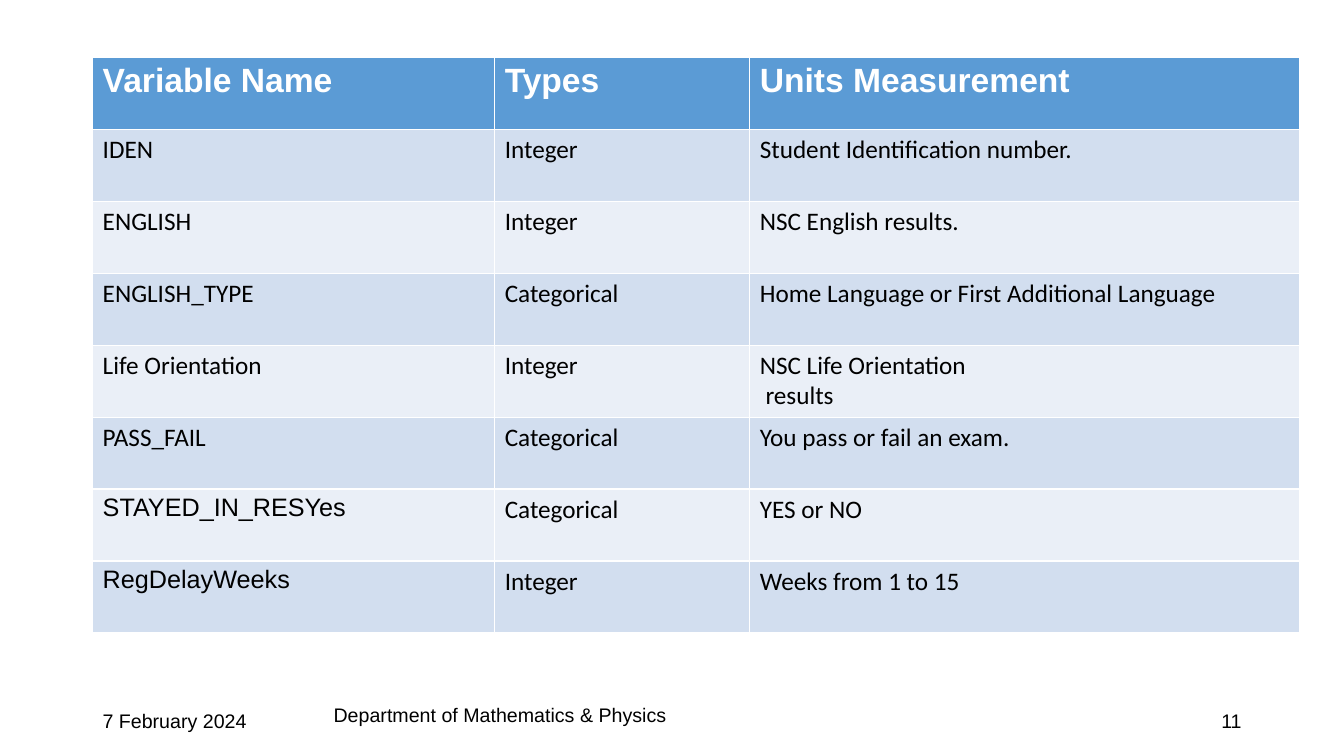
"""Build the slide that lists the variables of the student data set."""
from dataclasses import dataclass

from pptx import Presentation
from pptx.dml.color import RGBColor as Color
from pptx.enum.text import MSO_ANCHOR as Anchor, PP_ALIGN as Align
from pptx.util import Pt


@dataclass(frozen=True)
class Theme:
    white: str = "FFFFFF"
    black: str = "000000"
    header: str = "5B9BD5"
    bands: tuple = ("D2DEEF", "EAEFF7")
    heading_font: str = "Arial"
    body_font: str = "Calibri"
    heading_size: int = 24
    body_size: int = 18
    footer_size: int = 14


class SlideBuilder:
    def __init__(self, deck, theme):
        self.theme = theme
        self.slide = deck.slides.add_slide(deck.slide_layouts[6])

    def style(self, frame, font, size, color, bold=False, align=Align.LEFT):
        for para in frame.paragraphs:
            para.alignment = align
            for span in para.runs:
                span.font.name = font
                span.font.size = Pt(size)
                span.font.bold = bold
                span.font.color.rgb = Color.from_string(color)

    def footer(self, text, left, top, width, height, anchor=Anchor.MIDDLE, align=Align.LEFT):
        box = self.slide.shapes.add_textbox(Pt(left), Pt(top), Pt(width), Pt(height))
        frame = box.text_frame
        frame.word_wrap = True
        frame.vertical_anchor = anchor
        frame.text = text
        theme = self.theme
        self.style(frame, theme.heading_font, theme.footer_size, theme.black, align=align)

    def cell(self, cell, text, fill, font, size, color, bold=False):
        cell.text_frame.text = text
        cell.fill.solid()
        cell.fill.fore_color.rgb = Color.from_string(fill)
        self.style(cell.text_frame, font, size, color, bold)

    def table(self, headings, rows, left, top, widths, row_height, arial_names):
        theme = self.theme
        count = len(rows) + 1
        table = self.slide.shapes.add_table(
            count, len(widths), Pt(left), Pt(top), Pt(sum(widths)), Pt(row_height * count)
        ).table
        for column, width in zip(table.columns, widths):
            column.width = Pt(width)
        for row in table.rows:
            row.height = Pt(row_height)
        for column, text in enumerate(headings):
            self.cell(table.cell(0, column), text, theme.header, theme.heading_font,
                      theme.heading_size, theme.white, bold=True)
        for number, row in enumerate(rows):
            fill = theme.bands[number % 2]
            for column, text in enumerate(row):
                font = theme.heading_font if text in arial_names else theme.body_font
                self.cell(table.cell(number + 1, column), text, fill, font,
                          theme.body_size, theme.black)


HEADINGS = ("Variable Name", "Types", "Units Measurement")
VARIABLES = (
    ("IDEN", "Integer", "Student Identification number."),
    ("ENGLISH", "Integer", "NSC English results."),
    ("ENGLISH_TYPE", "Categorical", "Home Language or First Additional Language"),
    ("Life Orientation", "Integer", "NSC Life Orientation\n results"),
    ("PASS_FAIL", "Categorical", "You pass or fail an exam."),
    ("STAYED_IN_RESYes", "Categorical", "YES or NO"),
    ("RegDelayWeeks", "Integer", "Weeks from 1 to 15"),
)


def main():
    deck = Presentation()
    deck.slide_width, deck.slide_height = Pt(960), Pt(540)
    builder = SlideBuilder(deck, Theme())
    builder.footer("7 February 2024", 66.2, 500.5, 216, 28.75)
    builder.footer("11", 678, 500.5, 216, 28.75, align=Align.RIGHT)
    builder.footer("Department of Mathematics & Physics", 231.2, 486, 276.5, 36.5,
                   anchor=Anchor.BOTTOM)
    builder.table(HEADINGS, VARIABLES, 66.2, 41, (287.2, 182.2, 392.4), 51.4,
                  arial_names=("STAYED_IN_RESYes", "RegDelayWeeks"))
    deck.save("out.pptx")


if __name__ == "__main__":
    main()
